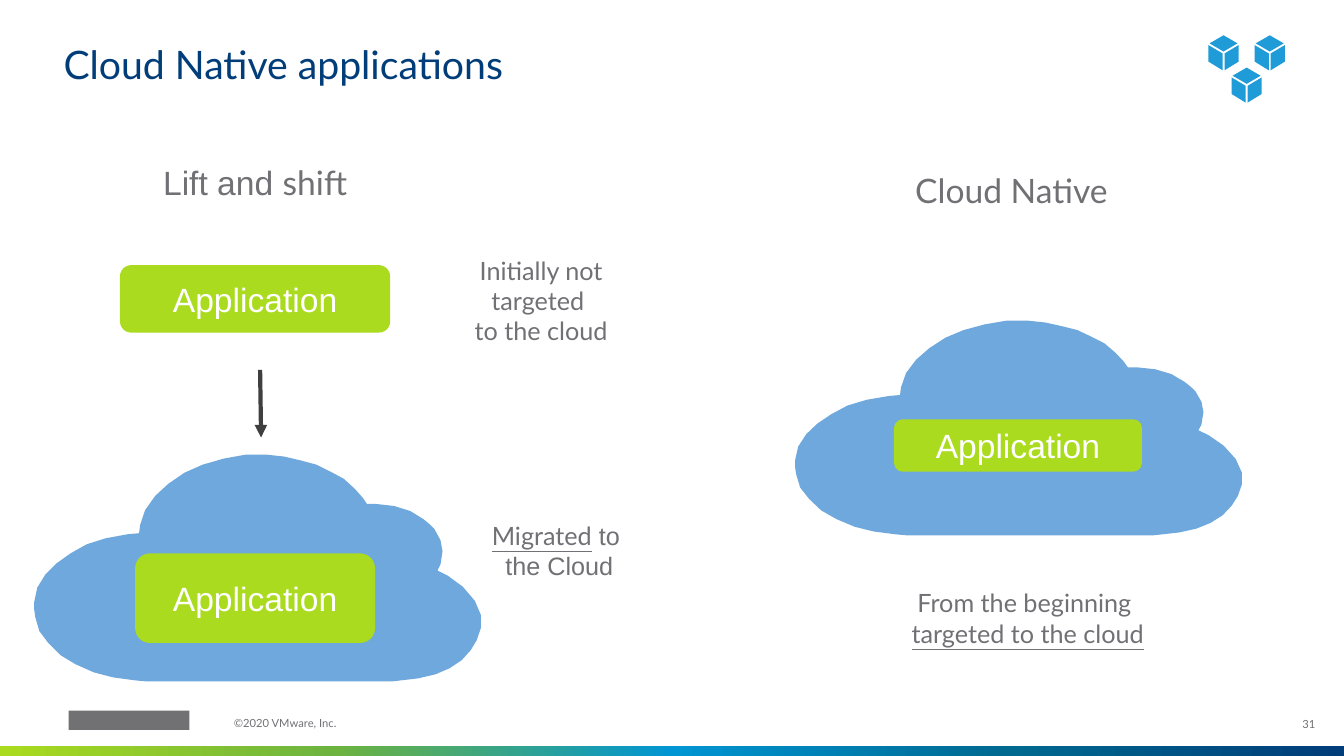
import pptx
import pptx.util
import pptx.dml.color
import pptx.enum.shapes
import pptx.enum.text
import pptx.oxml
from pptx.oxml.ns import qn

Pt = pptx.util.Pt
SHAPE = pptx.enum.shapes.MSO_SHAPE
ALIGN = pptx.enum.text.PP_ALIGN
ANCHOR = pptx.enum.text.MSO_ANCHOR

COLORS = {
    "title": "003D79", "text": "717074", "white": "FFFFFF", "app": "AADB1E",
    "cloud": "6FA8DC", "arrow": "3F3F3F", "cubes": "1F9BD8", "mark": "717073",
}
BAR_STOPS = [(0, "AADB1E"), (25, "6DB33F"), (50, "0095D3"), (75, "006990"), (100, "003D79")]

# Cloud outline, in hundredths of an inch on a 443 by 225 field
CLOUD = [
    (400, 115), (403, 109), (405, 96), (403, 85), (397, 74), (392, 69), (386, 64),
    (373, 56), (357, 51), (339, 49), (330, 49), (326, 43), (318, 34), (307, 24),
    (294, 17), (280, 10), (265, 6), (248, 2), (230, 0), (210, 0), (188, 4),
    (167, 10), (149, 18), (133, 29), (120, 41), (110, 55), (105, 70), (104, 78),
    (93, 79), (71, 83), (52, 89), (36, 98), (22, 108), (11, 119), (3, 132),
    (0, 146), (0, 154), (1, 161), (5, 175), (14, 187), (26, 199), (41, 208),
    (59, 216), (78, 221), (100, 224), (111, 225), (355, 225), (364, 224),
    (381, 222), (398, 218), (412, 212), (424, 204), (433, 194), (439, 184),
    (443, 172), (443, 159), (437, 145), (425, 131), (410, 120),
]
CUBE_TOP = [(0, 0), (-10, 5.8), (0, 11.6), (10, 5.8)]
CUBE_LEFT = [(-10.8, 7), (-10.8, 18.8), (-0.7, 25), (-0.7, 13)]
CUBE_RIGHT = [(-x, y) for x, y in CUBE_LEFT]


def rgb(name):
    return pptx.dml.color.RGBColor.from_string(COLORS[name])


def write(shape, paragraphs, size=18, color="text", font="Lato", align=ALIGN.CENTER,
          anchor=ANCHOR.TOP, inset=7.2, wrap=True, spacing=None):
    """Each paragraph is a list of (text, overrides); a newline is a line break."""
    tf = shape.text_frame
    tf.word_wrap = wrap
    tf.auto_size = pptx.enum.text.MSO_AUTO_SIZE.NONE
    tf.vertical_anchor = anchor
    tf.margin_left = tf.margin_right = tf.margin_top = tf.margin_bottom = Pt(inset)
    for i, runs in enumerate(paragraphs):
        p = tf.add_paragraph() if i else tf.paragraphs[0]
        p.alignment = align
        p.line_spacing = spacing
        for text, extra in runs:
            for j, line in enumerate(text.split("\n")):
                if j:
                    p.add_line_break()
                r = p.add_run()
                r.text = line
                r.font.size = Pt(size)
                r.font.name = extra.get("font", font)
                r.font.underline = extra.get("underline")
                r.font.color.rgb = rgb(color)


def add_text(s, x, y, w, h, paragraphs, **fmt):
    write(s.shapes.add_textbox(Pt(x), Pt(y), Pt(w), Pt(h)), paragraphs, **fmt)


def paint(sp, color):
    sp.shadow.inherit = False
    sp.fill.solid()
    sp.fill.fore_color.rgb = rgb(color)
    sp.line.fill.background()


def add_outline(s, contours, color):
    contours = [[(Pt(x), Pt(y)) for x, y in points] for points in contours]
    builder = s.shapes.build_freeform(*contours[0][0])
    for i, points in enumerate(contours):
        if i:
            builder.move_to(*points[0])
        builder.add_line_segments(points[1:], close=True)
    paint(builder.convert_to_shape(), color)


def add_cloud(s, x, y, w, h):
    add_outline(s, [[(x + px * w / 443, y + py * h / 225) for px, py in CLOUD]], "cloud")


def add_application(s, x, y, w, h):
    sp = s.shapes.add_shape(SHAPE.ROUNDED_RECTANGLE, Pt(x), Pt(y), Pt(w), Pt(h))
    paint(sp, "app")
    write(sp, [[("Application", {})]], size=24, color="white", font="Arial", anchor=ANCHOR.MIDDLE)


def add_cubes(s):
    add_outline(s, [[(x + px, y + py) for px, py in face]
                    for x, y in [(874, 25.2), (907, 25.2), (890.5, 48.3)]
                    for face in (CUBE_TOP, CUBE_LEFT, CUBE_RIGHT)], "cubes")


def add_arrow(s, x1, y1, x2, y2):
    line = s.shapes.add_connector(pptx.enum.shapes.MSO_CONNECTOR.STRAIGHT,
                                  Pt(x1), Pt(y1), Pt(x2), Pt(y2))
    line.line.color.rgb = rgb("arrow")
    line.line.width = Pt(3)
    line.line._get_or_add_ln().append(pptx.oxml.parse_xml(
        '<a:tailEnd xmlns:a="http://schemas.openxmlformats.org/drawingml/2006/main" type="triangle"/>'))
    line._element.spPr.append(pptx.oxml.parse_xml(
        '<a:effectLst xmlns:a="http://schemas.openxmlformats.org/drawingml/2006/main"/>'))


def add_gradient_bar(s):
    sp = s.shapes.add_shape(SHAPE.RECTANGLE, 0, Pt(532.8), Pt(960), Pt(7.2))
    paint(sp, "app")
    sp.fill.gradient()
    sp.fill.gradient_angle = 0
    stops = "".join(f'<a:gs pos="{pos * 1000}"><a:srgbClr val="{c}"/></a:gs>' for pos, c in BAR_STOPS)
    old = sp._element.spPr.find(".//" + qn("a:gsLst"))
    old.getparent().replace(old, pptx.oxml.parse_xml(
        '<a:gsLst xmlns:a="http://schemas.openxmlformats.org/drawingml/2006/main">'
        f'{stops}</a:gsLst>'))


def add_footer(s):
    add_gradient_bar(s)
    mark = s.shapes.add_shape(SHAPE.RECTANGLE, Pt(49), Pt(507.6), Pt(86.4), Pt(13.7))
    paint(mark, "mark")
    small = dict(size=8, inset=0, spacing=0.9)
    add_text(s, 905, 503.3, 34.6, 28.8, [[("31", {})]],
             align=ALIGN.RIGHT, anchor=ANCHOR.MIDDLE, **small)
    add_text(s, 167, 512.6, 154.8, 11.5, [[("©2020 VMware, Inc.", {})]],
             align=ALIGN.LEFT, **small)


def add_title(s, text):
    title = s.shapes.title
    title.left, title.top, title.width, title.height = Pt(45.4), Pt(32.4), Pt(866), Pt(30.2)
    write(title, [[(text, {})]], size=28, color="title", align=ALIGN.LEFT,
          anchor=ANCHOR.BOTTOM, inset=0, wrap=False, spacing=0.9)


def main():
    prs = pptx.Presentation()
    prs.slide_width, prs.slide_height = Pt(960), Pt(540)
    s = prs.slides.add_slide(prs.slide_layouts[5])

    # Frame of the slide
    add_footer(s)
    add_title(s, "Cloud Native applications")
    add_cubes(s)

    # Lift and shift
    add_text(s, 85.7, 108.7, 193, 48.2, [[("Lift and ", {"font": "Arial"}), ("shift", {})]], size=24)
    add_application(s, 85.7, 189.4, 193, 48.2)
    add_text(s, 303, 175, 167, 76.3, [[("Initially not targeted ", {})], [("to the cloud", {})]])
    add_arrow(s, 185.8, 264.2, 186.5, 312.5)
    add_cloud(s, 24.5, 324.7, 319, 162)
    add_application(s, 96.5, 395.3, 171.4, 64)
    add_text(s, 316, 364.3, 167, 48.2,
             [[("Migrated", {"underline": True}), (" to \nthe Cloud", {"font": "Arial"})]])

    # Cloud Native
    add_text(s, 646.6, 114.5, 201, 48.2, [[("Cloud Native", {})]], size=24, align=ALIGN.LEFT)
    add_cloud(s, 568, 229, 319, 153.4)
    add_application(s, 638.6, 299.5, 177.1, 37.4)
    add_text(s, 574.6, 412.6, 319, 73.4,
             [[("From the beginning ", {})], [("targeted to the cloud", {"underline": True})]])

    prs.save("out.pptx")


if __name__ == "__main__":
    main()
